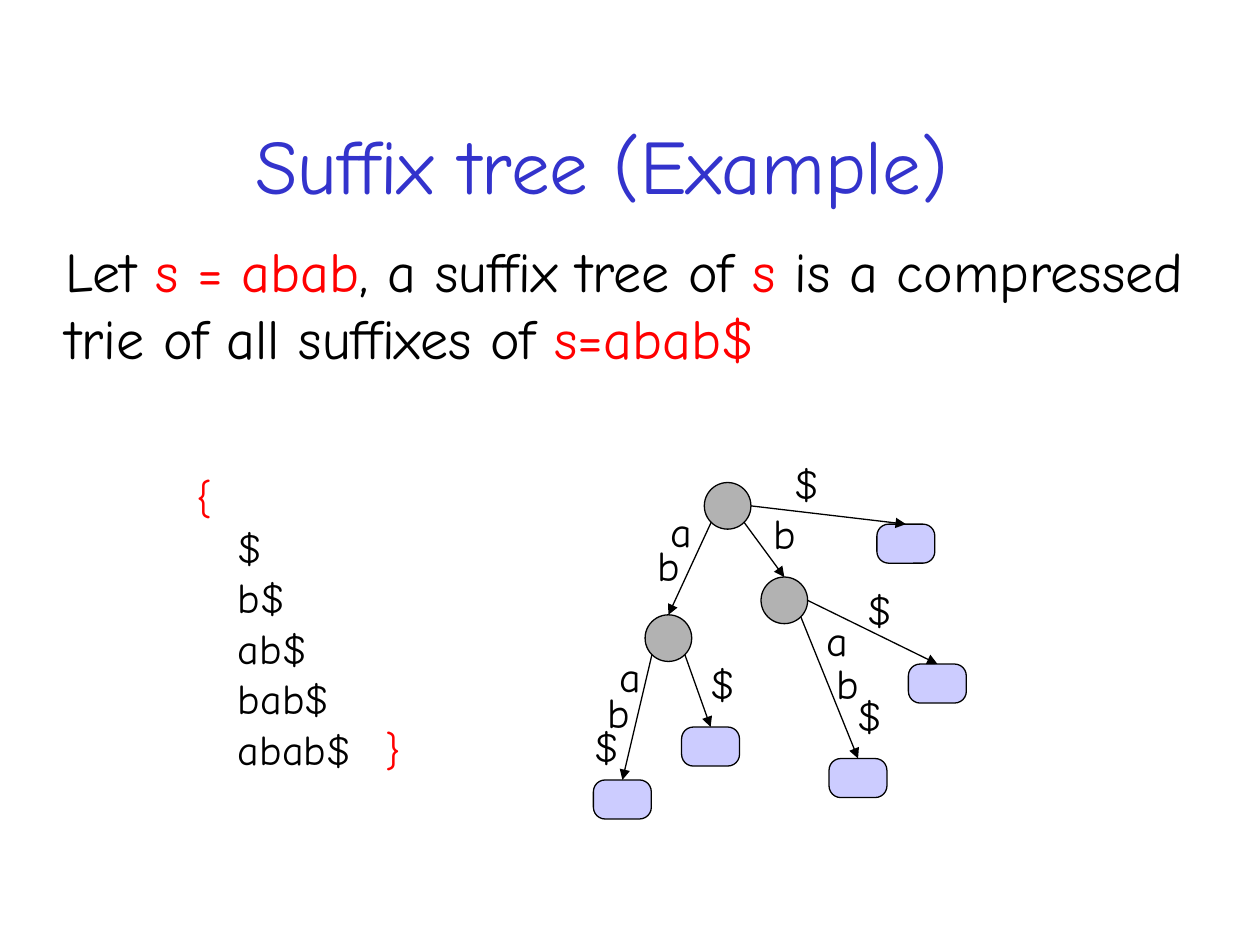
from lxml import etree
from pptx import Presentation
from pptx.dml.color import RGBColor
from pptx.enum import shapes, text
from pptx.oxml.ns import qn
from pptx.util import Inches, Pt

COLORS = {"title": "3333CC", "ink": "000000", "accent": "FF0000",
          "node": "B2B2B2", "leaf": "CCCCFF"}
NODE, LEAF_WIDTH, LEAF_HEIGHT = 0.37, 0.46, 0.31
DIAGONAL = 0.5 ** 0.5
# Unit directions from a node's centre to its outgoing edge
EXITS = {"left": (-DIAGONAL, DIAGONAL), "right": (DIAGONAL, DIAGONAL), "side": (1, 0)}


def color(name):
    return RGBColor.from_string(COLORS[name])


class TreeSlide:
    """Holds the text style and the current slide."""

    def __init__(self, slide, font="Comic Neue"):
        self.slide = slide
        self.font = font

    def add_text(self, box, paragraphs, size=24, first_indents=None, tab=None, **frame_format):
        """Each paragraph is a list of (text, colour name) runs."""
        shape = self.slide.shapes.add_textbox(*map(Inches, box))
        frame = shape.text_frame
        settings = {"word_wrap": True, "auto_size": text.MSO_AUTO_SIZE.NONE, **frame_format}
        for name, value in settings.items():
            setattr(frame, name, value)
        for index, runs in enumerate(paragraphs):
            paragraph = frame.add_paragraph() if index else frame.paragraphs[0]
            properties = paragraph._p.get_or_add_pPr()
            if first_indents:
                properties.set("marL", "0")
                properties.set("indent", str(Inches(first_indents[index])))
            if tab:
                tabs = etree.SubElement(properties, qn("a:tabLst"))
                etree.SubElement(tabs, qn("a:tab"), pos=str(Inches(tab)), algn="l")
            for words, name in runs:
                run = paragraph.add_run()
                run.text = words
                for key, value in {"name": self.font, "size": Pt(size)}.items():
                    setattr(run.font, key, value)
                run.font.color.rgb = color(name)
        return shape

    def add_shape(self, kind, box, fill):
        shape = self.slide.shapes.add_shape(kind, *map(Inches, box))
        shape.shadow.inherit = False
        shape.fill.solid()
        shape.fill.fore_color.rgb = color(fill)
        shape.line.color.rgb = color("ink")
        shape.line.width = Pt(0.75)
        return shape

    def add_node(self, left, top):
        return self.add_shape(shapes.MSO_SHAPE.OVAL, (left, top, NODE, NODE), "node")

    def add_leaf(self, left, top):
        box = (left, top, LEAF_WIDTH, LEAF_HEIGHT)
        shape = self.add_shape(shapes.MSO_SHAPE.ROUNDED_RECTANGLE, box, "leaf")
        shape.adjustments[0] = 0.3
        return shape

    def add_edge(self, parent, side, child):
        """Arrow from the parent's rim to the middle of the child's top."""
        radius = parent.width / 2
        start = [int(origin + radius * (1 + step)) for origin, step
                 in zip((parent.left, parent.top), EXITS[side])]
        connector = self.slide.shapes.add_connector(
            shapes.MSO_CONNECTOR.STRAIGHT, *start, child.left, child.top)
        connector.end_connect(child, 0)
        connector.line.color.rgb = color("ink")
        connector.line.width = Pt(0.75)
        etree.SubElement(connector.line._get_or_add_ln(), qn("a:tailEnd"), type="triangle")
        etree.SubElement(connector._element.spPr, qn("a:effectLst"))

    def add_label(self, letter, left, top):
        self.add_text((left, top, 0.42, 0.5), [[(letter, "ink")]])


def main():
    presentation = Presentation()
    presentation.slide_width, presentation.slide_height = Inches(10), Inches(7.5)
    tree = TreeSlide(presentation.slides.add_slide(presentation.slide_layouts[6]))

    # Title, set slightly left of centre by its right margin
    title = tree.add_text((0.75, 0.67, 8.5, 1.25), [[("Suffix tree (Example)", "title")]], 44,
                          vertical_anchor=text.MSO_ANCHOR.MIDDLE, margin_right=Inches(0.54))
    title.text_frame.paragraphs[0].alignment = text.PP_ALIGN.CENTER

    # Definition
    tree.add_text((0.42, 1.83, 9.25, 1.17), [[
        ("Let ", "ink"), ("s = abab", "accent"), (", a suffix tree of ", "ink"),
        ("s", "accent"), (" is a compressed trie of all suffixes of ", "ink"),
        ("s=abab$", "accent")]], 32)

    # Set of suffixes
    suffixes = [[(suffix, "ink")] for suffix in ("$", "b$", "ab$", "bab$", "abab$")]
    suffixes[-1].append(("\t}", "accent"))
    tree.add_text((1.46, 3.69, 2.21, 2.5), [[("{", "accent")]] + suffixes,
                  first_indents=[0] + [0.33] * len(suffixes), tab=1.43)

    # Inner nodes
    root = tree.add_node(5.59, 3.83)
    node_ab = tree.add_node(5.12, 4.88)
    node_b = tree.add_node(6.04, 4.58)

    # Edges between nodes
    tree.add_edge(root, "left", node_ab)
    tree.add_edge(root, "right", node_b)

    # Leaves, each with its incoming edge
    for parent, side, left, top in (
            (node_ab, "left", 4.71, 6.19), (node_ab, "right", 5.41, 5.77),
            (node_b, "right", 6.58, 6.02), (node_b, "side", 7.21, 5.27),
            (root, "side", 6.96, 4.16)):
        tree.add_edge(parent, side, tree.add_leaf(left, top))

    # Edge labels, one letter each
    for letter, left, top in (
            ("a", 5.22, 3.96), ("b", 5.12, 4.23),
            ("a", 4.82, 5.11), ("b", 4.72, 5.4), ("$", 4.62, 5.67),
            ("a", 6.46, 4.83), ("b", 6.54, 5.17), ("$", 6.71, 5.42),
            ("b", 6.04, 3.98), ("$", 5.54, 5.17), ("$", 6.79, 4.58), ("$", 6.21, 3.58)):
        tree.add_label(letter, left, top)

    presentation.save("out.pptx")


if __name__ == "__main__":
    main()
